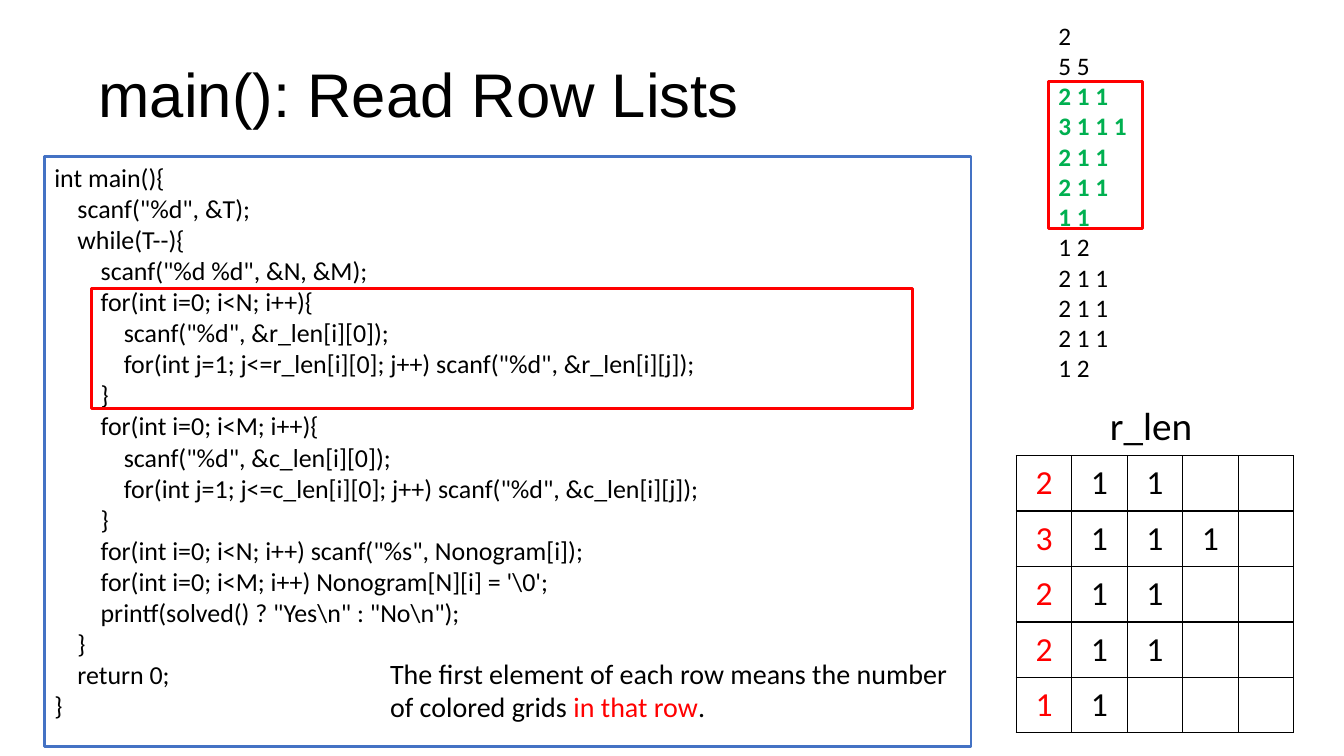
from dataclasses import dataclass

from lxml import etree
from pptx import Presentation
from pptx.dml.color import RGBColor
from pptx.enum.shapes import MSO_SHAPE
from pptx.enum.text import MSO_ANCHOR, PP_ALIGN
from pptx.oxml.ns import qn
from pptx.util import Pt

PX = 9144
RECT = MSO_SHAPE.RECTANGLE
TOP, MIDDLE = MSO_ANCHOR.TOP, MSO_ANCHOR.MIDDLE
LEFT, CENTER = PP_ALIGN.LEFT, PP_ALIGN.CENTER


@dataclass(frozen=True)
class Theme:
    black: str = "000000"
    red: str = "FF0000"
    green: str = "00B050"
    blue: str = "4472C4"
    heading: str = "Arial"
    body: str = "Calibri"
    title: float = 44
    label: float = 28
    cell: float = 24
    note: float = 20
    code: float = 18.5
    data: float = 18
    indent: int = 23


T = Theme()

CODE = [
    (0, "int main(){"),
    (1, 'scanf("%d", &T);'),
    (1, "while(T--){"),
    (2, 'scanf("%d %d", &N, &M);'),
    (2, "for(int i=0; i<N; i++){"),
    (3, 'scanf("%d", &r_len[i][0]);'),
    (3, 'for(int j=1; j<=r_len[i][0]; j++) scanf("%d", &r_len[i][j]);'),
    (2, "}"),
    (2, "for(int i=0; i<M; i++){"),
    (3, 'scanf("%d", &c_len[i][0]);'),
    (3, 'for(int j=1; j<=c_len[i][0]; j++) scanf("%d", &c_len[i][j]);'),
    (2, "}"),
    (2, 'for(int i=0; i<N; i++) scanf("%s", Nonogram[i]);'),
    (2, "for(int i=0; i<M; i++) Nonogram[N][i] = '\\0';"),
    (2, 'printf(solved() ? "Yes\\n" : "No\\n");'),
    (1, "}"),
    (1, "return 0;"),
    (0, "}"),
]
ROW_LISTS = ["2 1 1", "3 1 1 1", "2 1 1", "2 1 1", "1 1"]
COLUMN_LISTS = ["1 2", "2 1 1", "2 1 1", "2 1 1", "1 2"]


def emu(*px):
    return [v * PX for v in px]


def style(p, size, color=T.black, font=T.body, bold=False, align=LEFT):
    p.alignment = align
    p.font.size = Pt(size)
    p.font.name = font
    p.font.bold = bold
    p.font.color.rgb = RGBColor.from_string(color)


def add_lines(tf, lines, size, font=T.body):
    for i, (level, text, color, bold) in enumerate(lines):
        p = tf.paragraphs[0] if i == 0 else tf.add_paragraph()
        p.text = text
        style(p, size, color, font, bold)
        if level:
            p._p.get_or_add_pPr().set("marL", str(level * T.indent * PX))


def add_text(s, box, lines, size, font=T.body, anchor=TOP):
    tf = s.shapes.add_textbox(*emu(*box)).text_frame
    tf.word_wrap = True
    tf.vertical_anchor = anchor
    add_lines(tf, lines, size, font)
    return tf


def add_frame(s, box, color, width):
    sp = s.shapes.add_shape(RECT, *emu(*box))
    sp.shadow.inherit = False
    sp.fill.background()
    sp.line.color.rgb = RGBColor.from_string(color)
    sp.line.width = Pt(width)
    return sp


def add_code(s, box, code):
    tf = add_frame(s, box, T.blue, 2).text_frame
    tf.word_wrap = True
    tf.vertical_anchor = TOP
    add_lines(tf, [(level, text, T.black, False) for level, text in code], T.code)


def add_borders(cell):
    tcPr = cell._tc.get_or_add_tcPr()
    for side in ("a:lnL", "a:lnR", "a:lnT", "a:lnB"):
        ln = etree.SubElement(tcPr, qn(side), w=str(Pt(1)))
        fill = etree.SubElement(ln, qn("a:solidFill"))
        etree.SubElement(fill, qn("a:srgbClr"), val=T.black)


def add_grid(s, left, top, side, rows):
    n = len(rows)
    table = s.shapes.add_table(n, n, *emu(left, top, side * n, side * n)).table
    table.first_row = table.horz_banding = False
    for i, row in enumerate(rows):
        table.rows[i].height = table.columns[i].width = side * PX
        values = row.split()
        for j in range(n):
            cell = table.cell(i, j)
            cell.vertical_anchor = MIDDLE
            add_borders(cell)
            cell.fill.background()
            if j < len(values):
                cell.text = values[j]
                color = T.black if j else T.red
                style(cell.text_frame.paragraphs[0], T.cell, color, align=CENTER)


def add_note(s, box, parts):
    p = add_text(s, box, [(0, "", T.black, False)], T.note).paragraphs[0]
    for text, color in parts:
        r = p.add_run()
        r.text = text
        r.font.color.rgb = RGBColor.from_string(color)


def main():
    prs = Presentation()
    prs.slide_width, prs.slide_height = emu(1333, 750)
    s = prs.slides.add_slide(prs.slide_layouts[6])
    add_code(s, (44, 155, 919, 586), CODE)
    add_text(s, (88, 20, 1150, 145), [(0, "main(): Read Row Lists", T.black, False)],
             T.title, T.heading, MIDDLE)
    add_grid(s, 1008, 452, 55, ROW_LISTS)
    add_text(s, (1091, 393, 108, 57), [(0, "r_len", T.black, False)], T.label)
    add_note(s, (377, 646, 581, 77), [
        ("The first element of each row means the number of colored grids ", T.black),
        ("in that row", T.red),
        (".", T.black),
    ])
    add_frame(s, (91, 286, 814, 119), T.red, 2.25)
    data = [(0, text, T.black, False) for text in ("2", "5 5")]
    data += [(0, text, T.green, True) for text in ROW_LISTS]
    data += [(0, text, T.black, False) for text in COLUMN_LISTS]
    add_text(s, (1040, 15, 117, 374), data, T.data)
    add_frame(s, (1040, 81, 93, 146), T.red, 2.25)
    prs.save("out.pptx")


if __name__ == "__main__":
    main()
